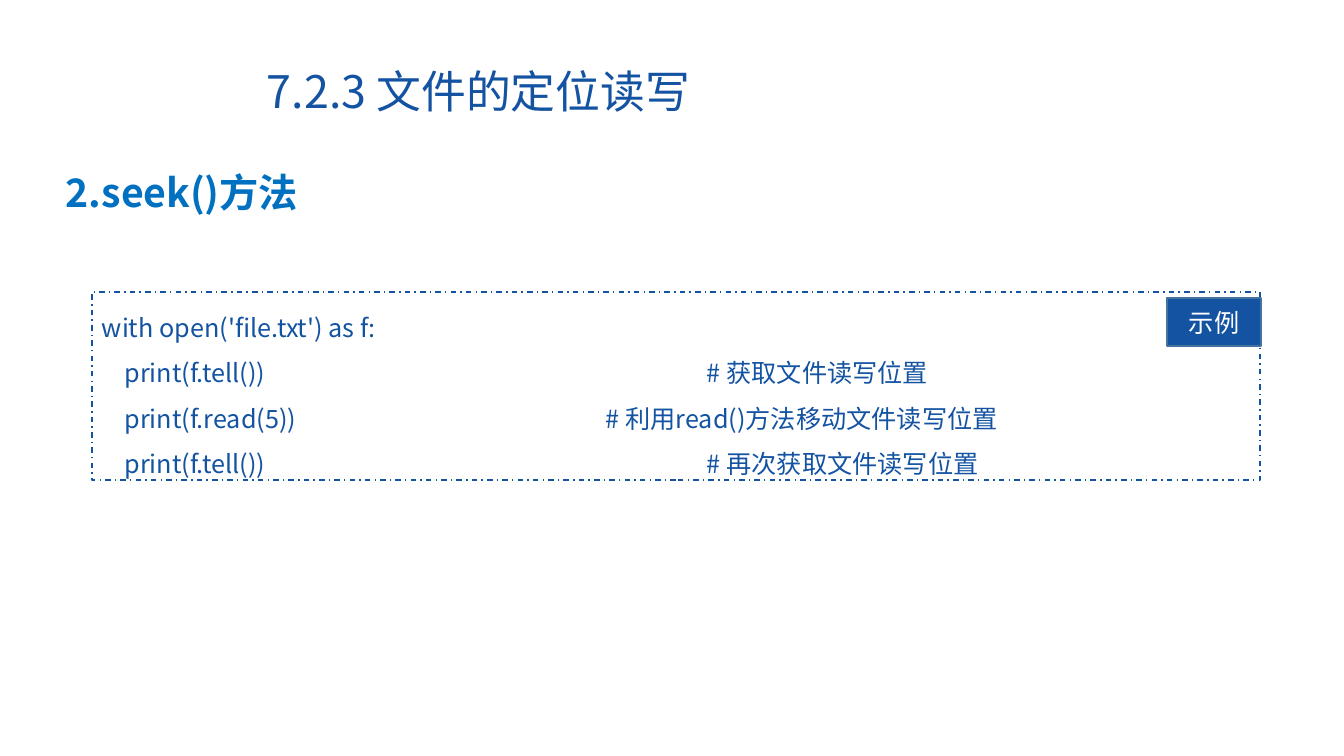
from lxml import etree
from pptx import Presentation
from pptx import util as u
from pptx.dml.color import RGBColor
from pptx.enum import dml, shapes, text
from pptx.oxml.ns import qn

PX = 914400 / 100.8
FONT = "Noto Sans CJK SC"
NAVY = RGBColor(0x13, 0x53, 0xA2)
BLUE = RGBColor(0x00, 0x70, 0xC0)
STEEL = RGBColor(0x43, 0x73, 0x9E)
WHITE = RGBColor(0xFF, 0xFF, 0xFF)

# Code, comment, and where the comment starts inside the text area
CODE_LINES = [
    ("with open('file.txt') as f:", None, None),
    ("    print(f.tell())", "# 获取文件读写位置", 605),
    ("    print(f.read(5))", "# 利用read()方法移动文件读写位置", 504),
    ("    print(f.tell())", "# 再次获取文件读写位置", 605),
]


def px(length):
    return u.Emu(round(length * PX))


def add_tab_stop(paragraph, position):
    tabs = etree.SubElement(paragraph._p.get_or_add_pPr(), qn("a:tabLst"))
    etree.SubElement(tabs, qn("a:tab"), pos=str(px(position)), algn="l")


def write(paragraph, words, size=18, color=NAVY, bold=False, spacing=None,
          align=text.PP_ALIGN.LEFT):
    paragraph.alignment = align
    if spacing:
        paragraph.line_spacing = spacing
    run = paragraph.add_run()
    run.text = words
    run.font.size = u.Pt(size)
    run.font.bold = bold
    run.font.color.rgb = color
    run.font.name = FONT
    etree.SubElement(run._r.get_or_add_rPr(), qn("a:ea"), typeface=FONT)


def add_label(slide, box, words, anchor=text.MSO_ANCHOR.TOP, **style):
    frame = slide.shapes.add_textbox(*map(px, box)).text_frame
    frame.word_wrap = True
    frame.vertical_anchor = anchor
    write(frame.paragraphs[0], words, **style)


def add_box(slide, box, line, fill=None, dash=None, anchor=text.MSO_ANCHOR.TOP):
    """Add an outlined rectangle and return its text frame."""
    rect = slide.shapes.add_shape(shapes.MSO_SHAPE.RECTANGLE, *map(px, box))
    rect.shadow.inherit = False
    if fill is None:
        rect.fill.background()
    else:
        rect.fill.solid()
        rect.fill.fore_color.rgb = fill
    rect.line.color.rgb = line
    rect.line.width = u.Pt(1)
    if dash is not None:
        rect.line.dash_style = dash
    rect.text_frame.word_wrap = True
    rect.text_frame.vertical_anchor = anchor
    return rect.text_frame


def add_code(slide, box, lines):
    frame = add_box(slide, box, NAVY, dash=dml.MSO_LINE.DASH_DOT)
    for index, (code, comment, stop) in enumerate(lines):
        paragraph = frame.add_paragraph() if index else frame.paragraphs[0]
        if comment:
            add_tab_stop(paragraph, stop)
            code = f"{code}\t{comment}"
        write(paragraph, code, spacing=1.5)


def add_tag(slide, box, words):
    frame = add_box(slide, box, STEEL, fill=NAVY, anchor=text.MSO_ANCHOR.MIDDLE)
    write(frame.paragraphs[0], words, color=WHITE, align=text.PP_ALIGN.CENTER)


def main():
    deck = Presentation()
    deck.slide_width, deck.slide_height = px(1344), px(756)
    slide = deck.slides.add_slide(deck.slide_layouts[6])
    add_label(slide, (257, 64, 921, 59), "7.2.3 文件的定位读写",
              anchor=text.MSO_ANCHOR.MIDDLE, size=32, spacing=0.9)
    add_label(slide, (56, 140, 836, 82), "2.seek()方法",
              size=28, color=BLUE, bold=True, spacing=1.5)
    add_code(slide, (92, 292, 1168, 188), CODE_LINES)
    add_tag(slide, (1167, 298, 94, 48), "示例")
    deck.save("out.pptx")


if __name__ == "__main__":
    main()
